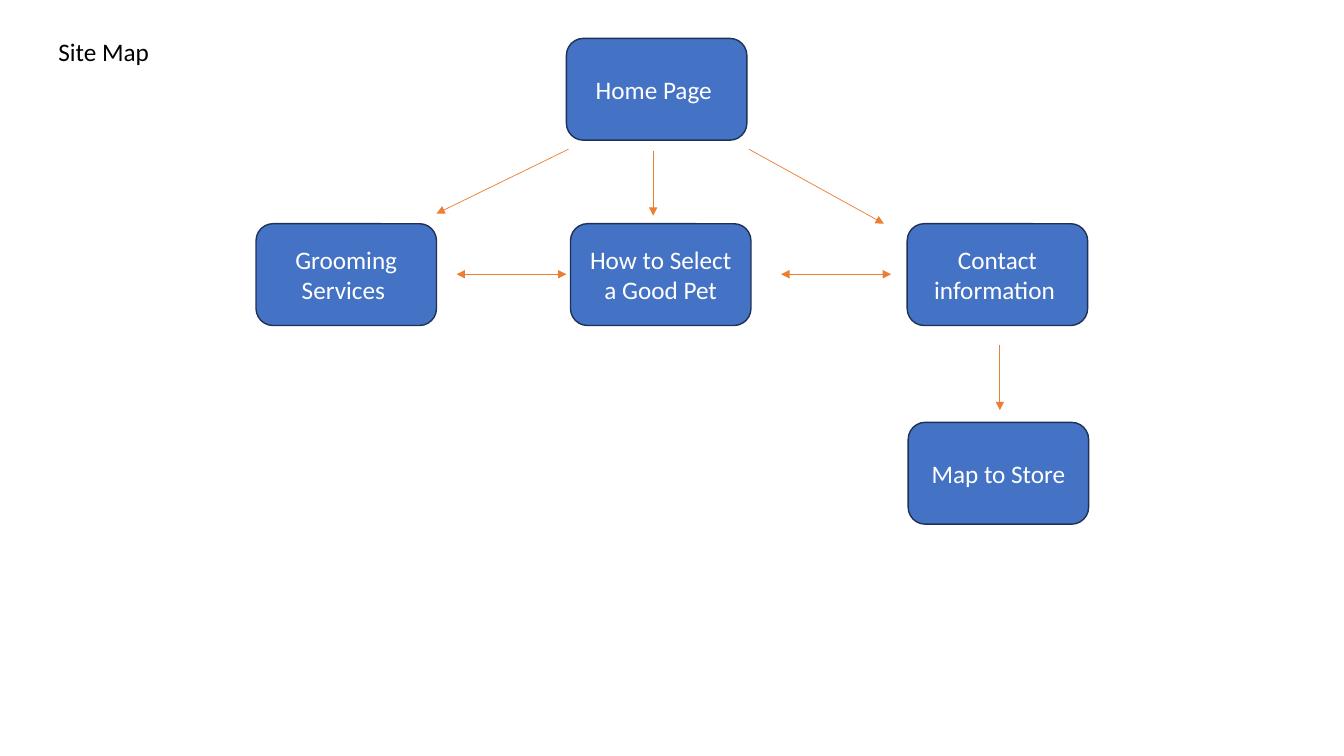
"""Build the site map slide of a pet shop website."""
from lxml.etree import SubElement
from pptx import Presentation
from pptx.dml.color import RGBColor
from pptx.enum.shapes import MSO_CONNECTOR as CONN, MSO_SHAPE as SHAPE
from pptx.enum.text import MSO_ANCHOR as ANCHOR, MSO_AUTO_SIZE as AUTO, PP_ALIGN as ALIGN
from pptx.oxml.ns import qn
from pptx.util import Pt

TITLE = ("Site Map", 34.6, 22.3, 86.4, 28.8)
BOX_W, BOX_H = 128.9, 72.7
ROW_Y = 159.8
PAGES = [
    ("Home Page ", 404.6, 27.4),
    ("Grooming Services ", 182.9, ROW_Y),
    ("How to Select a Good Pet", 407.5, ROW_Y),
    ("Map to Store", 648.7, 301.7),
    ("Contact information ", 648, ROW_Y),
]
LINK_Y = 195.9
DOWN = ("tailEnd",)
BOTH = ("headEnd", "tailEnd")
ARROWS = [
    (406.1, 106.6, 311.8, 152.6, DOWN),
    (535, 106.6, 631.4, 159.8, DOWN),
    (466.6, 108, 466.6, 154.1, DOWN),
    (326.2, LINK_Y, 404.6, LINK_Y, BOTH),
    (558, LINK_Y, 636.5, LINK_Y, BOTH),
    (714.2, 246.2, 714.2, 293, DOWN),
]
BLUE, NAVY, ORANGE, WHITE, BLACK = "4472C4", "1E3256", "ED7D31", "FFFFFF", "000000"
FONT = {"name": "Calibri", "size": Pt(18)}
TITLE_FRAME = {"word_wrap": True, "auto_size": AUTO.SHAPE_TO_FIT_TEXT}
PAGE_FRAME = {"word_wrap": True, "vertical_anchor": ANCHOR.MIDDLE}


def paint(target, color):
    target.rgb = RGBColor.from_string(color)


def points(*values):
    return [Pt(v) for v in values]


def set_all(target, values):
    for key, value in values.items():
        setattr(target, key, value)


def write(sp, text, color, frame, align):
    tf = sp.text_frame
    set_all(tf, frame)
    p = tf.paragraphs[0]
    p.alignment = align
    r = p.add_run()
    r.text = text
    set_all(r.font, FONT)
    paint(r.font.color, color)


def add_page(s, text, x, y):
    sp = s.shapes.add_shape(SHAPE.ROUNDED_RECTANGLE, *points(x, y, BOX_W, BOX_H))
    sp.shadow.inherit = False
    sp.fill.solid()
    paint(sp.fill.fore_color, BLUE)
    paint(sp.line.color, NAVY)
    sp.line.width = Pt(1)
    write(sp, text, WHITE, PAGE_FRAME, ALIGN.CENTER)


def add_arrow(s, x1, y1, x2, y2, ends):
    cx = s.shapes.add_connector(CONN.STRAIGHT, *points(x1, y1, x2, y2))
    paint(cx.line.color, ORANGE)
    cx.line.width = Pt(0.5)
    ln = cx.line._get_or_add_ln()
    for end in ends:
        SubElement(ln, qn("a:" + end), type="triangle")
    SubElement(cx._element.spPr, qn("a:effectLst"))


def main():
    prs = Presentation()
    prs.slide_width, prs.slide_height = points(960, 540)
    s = prs.slides.add_slide(prs.slide_layouts[6])
    text, *box = TITLE
    write(s.shapes.add_textbox(*points(*box)), text, BLACK, TITLE_FRAME, ALIGN.LEFT)
    for page in PAGES:
        add_page(s, *page)
    for arrow in ARROWS:
        add_arrow(s, *arrow)
    prs.save("out.pptx")


if __name__ == "__main__":
    main()
